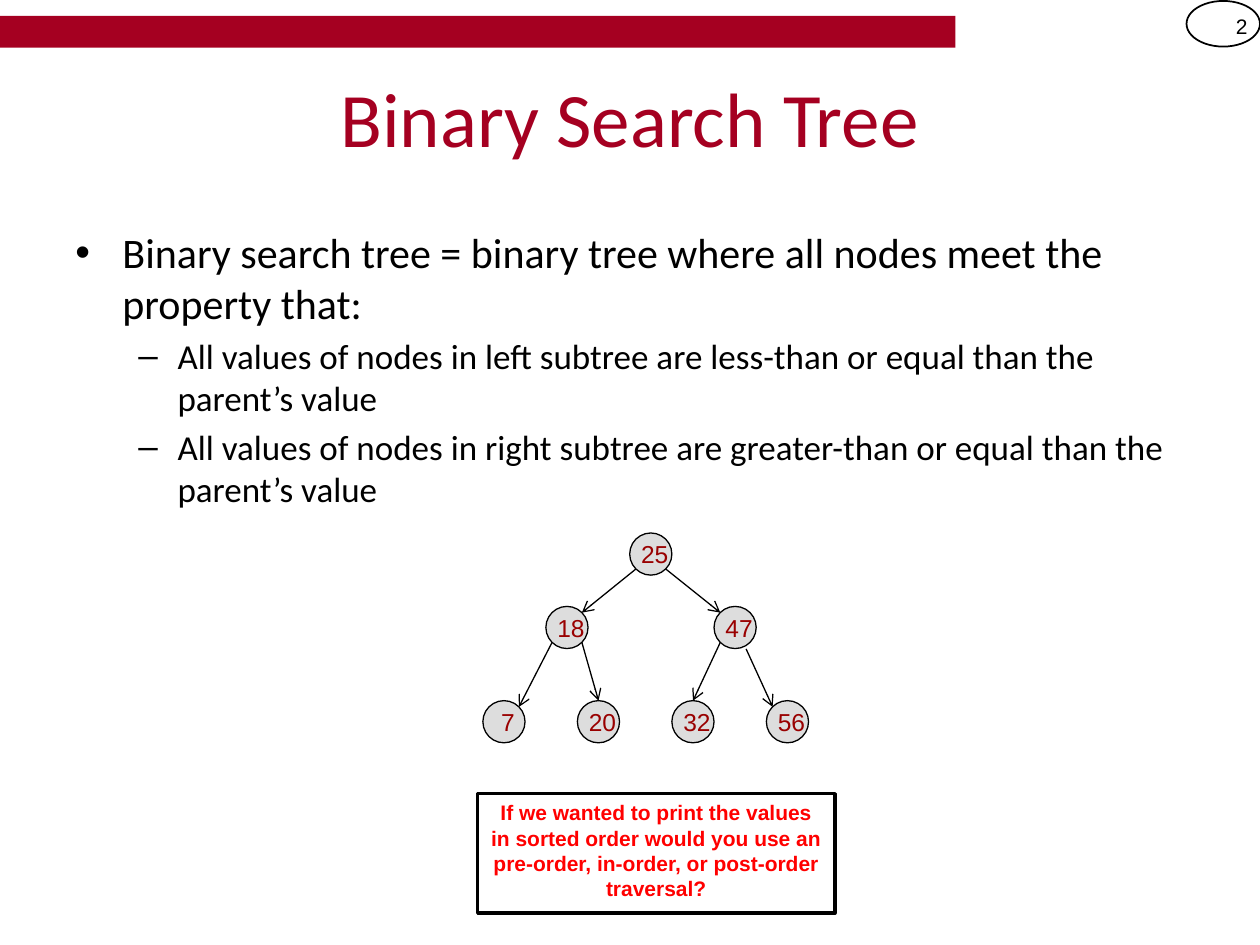
from dataclasses import dataclass

from lxml import etree
from pptx import Presentation
from pptx.dml.color import RGBColor
from pptx.enum.shapes import MSO_CONNECTOR, MSO_SHAPE
from pptx.enum.text import MSO_ANCHOR, PP_ALIGN
from pptx.oxml.ns import qn
from pptx.util import Cm, Pt

RECT, OVAL = MSO_SHAPE.RECTANGLE, MSO_SHAPE.OVAL
STRAIGHT = MSO_CONNECTOR.STRAIGHT
TOP, MIDDLE = MSO_ANCHOR.TOP, MSO_ANCHOR.MIDDLE
LEFT, CENTER, RIGHT = PP_ALIGN.LEFT, PP_ALIGN.CENTER, PP_ALIGN.RIGHT


@dataclass(frozen=True)
class Theme:
    crimson: str = "A50021"
    black: str = "000000"
    white: str = "FFFFFF"
    node_fill: str = "DDDDDD"
    node_text: str = "990000"
    question: str = "FF0000"
    heading_font: str = "Calibri"
    label_font: str = "Arial"
    title_size: float = 44
    body_size: float = 24
    sub_size: float = 20
    node_size: float = 14
    small_size: float = 12


class SlideBuilder:
    def __init__(self, slide, theme):
        self.shapes = slide.shapes
        self.theme = theme

    def fill_paragraph(self, paragraph, text, size, color, font, bold=False):
        paragraph.text = text
        style = {"size": Pt(size), "name": font, "bold": bold}
        for name, value in style.items():
            setattr(paragraph.font, name, value)
        paragraph.font.color.rgb = RGBColor.from_string(color)

    def text(self, box, text, size, color, font, align=LEFT, anchor=TOP):
        frame = self.shapes.add_textbox(*map(Cm, box)).text_frame
        frame.word_wrap = True
        frame.vertical_anchor = anchor
        frame.paragraphs[0].alignment = align
        self.fill_paragraph(frame.paragraphs[0], text, size, color, font)

    def shape(self, kind, box, fill=None, line_width=None):
        shape = self.shapes.add_shape(kind, *map(Cm, box))
        shape.shadow.inherit = False
        if fill:
            shape.fill.solid()
            shape.fill.fore_color.rgb = RGBColor.from_string(fill)
        else:
            shape.fill.background()
        if line_width:
            shape.line.width = Pt(line_width)
            shape.line.color.rgb = RGBColor.from_string(self.theme.black)
        else:
            shape.line.fill.background()
        return shape

    def bullets(self, box, items):
        frame = self.shapes.add_textbox(*map(Cm, box)).text_frame
        frame.word_wrap = True
        levels = [("•", 0.95, 0.95, self.theme.body_size),
                  ("–", 2.06, 0.79, self.theme.sub_size)]
        for index, (level, text) in enumerate(items):
            paragraph = frame.add_paragraph() if index else frame.paragraphs[0]
            mark, margin, hanging, size = levels[level]
            paragraph.level = level
            if index:
                paragraph.space_before = Pt(size * 0.2)
            properties = paragraph._p.get_or_add_pPr()
            properties.set("marL", str(Cm(margin)))
            properties.set("indent", str(-Cm(hanging)))
            etree.SubElement(properties, qn("a:buFont"), typeface=self.theme.label_font)
            etree.SubElement(properties, qn("a:buChar"), char=mark)
            self.fill_paragraph(paragraph, text, size, self.theme.black,
                                self.theme.heading_font)

    def arrow(self, start, end):
        arrow = self.shapes.add_connector(STRAIGHT, *map(Cm, (*start, *end)))
        arrow.line.width = Pt(0.75)
        arrow.line.color.rgb = RGBColor.from_string(self.theme.black)
        etree.SubElement(arrow.line._get_or_add_ln(), qn("a:tailEnd"), type="arrow")
        etree.SubElement(arrow._element.spPr, qn("a:effectLst"))


def draw_tree(builder):
    theme = builder.theme
    diameter = 0.85
    radius = diameter / 2
    centers = {"25": (13.12, 11.17), "18": (11.43, 12.65), "47": (14.82, 12.65)}
    for column, value in enumerate(("7", "20", "32", "56")):
        centers[value] = (10.16 + 1.905 * column, 14.55)

    # Where arrows meet a node, measured from its centre
    diagonal = 0.3
    sites = {"top": (0, -radius),
             "top left": (-diagonal, -diagonal), "top right": (diagonal, -diagonal),
             "bottom left": (-diagonal, diagonal), "bottom right": (diagonal, diagonal),
             "below": (0.22, 0.43)}
    edges = [("25", "bottom left", "18", "top right"),
             ("25", "bottom right", "47", "top left"),
             ("18", "bottom left", "7", "top right"),
             ("18", "bottom right", "20", "top"),
             ("47", "bottom left", "32", "top"),
             ("47", "below", "56", "top left")]

    def point(value, site):
        return [c + offset for c, offset in zip(centers[value], sites[site])]

    for x, y in centers.values():
        builder.shape(OVAL, (x - radius, y - radius, diameter, diameter),
                      theme.node_fill, 0.75)
    for parent, leave, child, arrive in edges:
        builder.arrow(point(parent, leave), point(child, arrive))

    # Values sit slightly right of the node centres
    width, shift = 1.27, 0.08
    for value, (x, y) in centers.items():
        builder.text((x - width / 2 + shift, y - radius, width, 0.86), value,
                     theme.node_size, theme.node_text, theme.label_font, CENTER)


def main():
    presentation = Presentation()
    presentation.slide_width, presentation.slide_height = Cm(25.4), Cm(19.05)
    slide = presentation.slides.add_slide(presentation.slide_layouts[6])
    theme = Theme()
    builder = SlideBuilder(slide, theme)

    # Header band and page number
    builder.shape(RECT, (0, 0.32, 19.26, 0.64), theme.crimson)
    builder.shape(OVAL, (23.92, 0.02, 1.48, 0.92), line_width=1)
    builder.text((23.92, 0.02, 1.48, 1.02), "2", theme.small_size, theme.black,
                 theme.label_font, RIGHT, MIDDLE)

    # Title and definition
    builder.text((1.27, 0.76, 22.86, 3.18), "Binary Search Tree", theme.title_size,
                 theme.crimson, theme.heading_font, CENTER, MIDDLE)
    builder.bullets((1.27, 4.45, 22.86, 12.57), [
        (0, "Binary search tree = binary tree where all nodes meet the property that:"),
        (1, "All values of nodes in left subtree are less-than or equal than the parent’s value"),
        (1, "All values of nodes in right subtree are greater-than or equal than the parent’s value"),
    ])

    draw_tree(builder)

    # Question box
    question = builder.shape(RECT, (9.63, 16, 7.2, 2.41), theme.white, 2).text_frame
    question.word_wrap = True
    question.vertical_anchor = TOP
    question.paragraphs[0].alignment = CENTER
    builder.fill_paragraph(
        question.paragraphs[0],
        "If we wanted to print the values in sorted order would you use an "
        "pre-order, in-order, or post-order traversal?",
        theme.small_size, theme.question, theme.label_font, bold=True)

    presentation.save("out.pptx")


if __name__ == "__main__":
    main()
